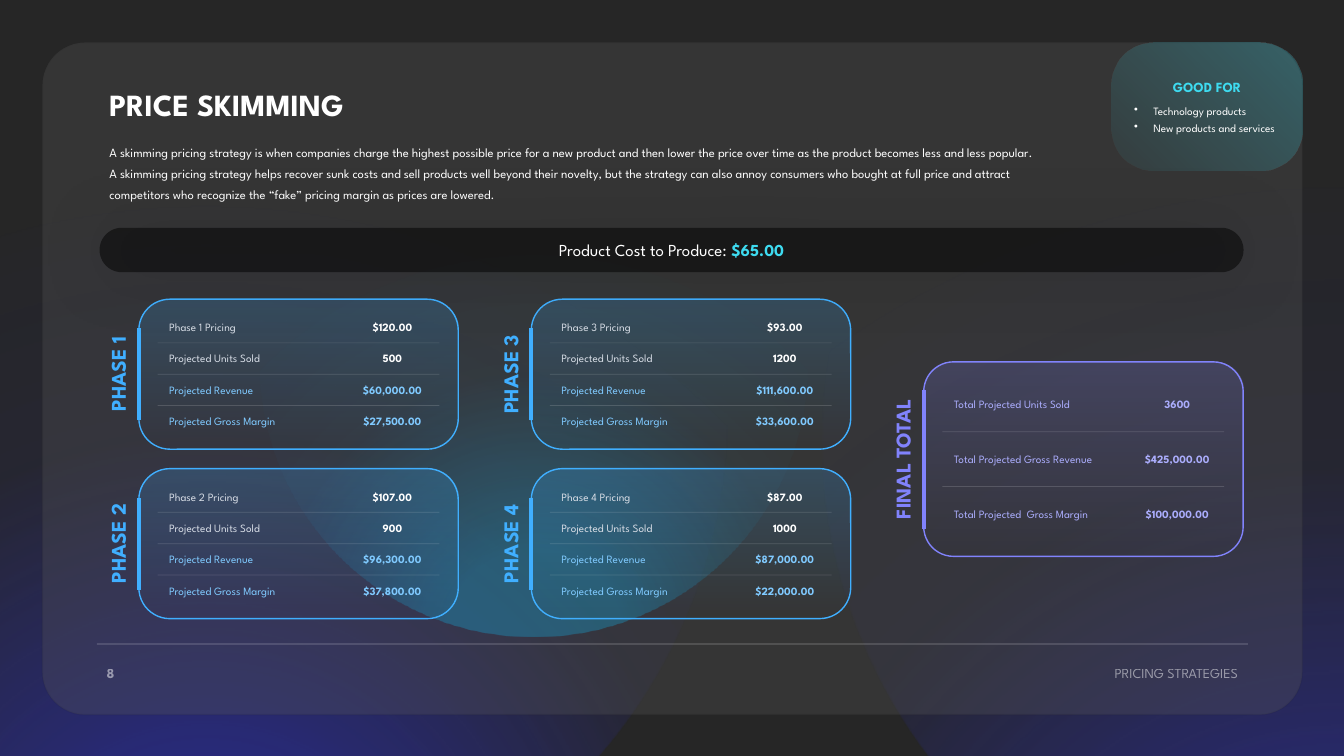
from lxml.etree import SubElement
from pptx import Presentation
from pptx.dml.color import RGBColor
from pptx.enum.shapes import MSO_CONNECTOR, MSO_SHAPE
from pptx.enum.text import MSO_ANCHOR, MSO_AUTO_SIZE, PP_ALIGN
from pptx.oxml import parse_xml
from pptx.oxml.ns import nsdecls, qn
from pptx.util import Cm, Pt

# Content
FONT = "League Spartan"
WHITE, BLUE, PALE_BLUE, GREY = "FFFFFF", "40AFFF", "80CAFF", "D6DCE5"
PURPLE, PALE_PURPLE, CYAN, INDIGO = "8183FC", "ABADFD", "3EDBF0", "2D31FA"
DESCRIPTION = (
    "A skimming pricing strategy is when companies charge the highest possible price for a new "
    "product and then lower the price over time as the product becomes less and less popular. "
    "A skimming pricing strategy helps recover sunk costs and sell products well beyond their "
    "novelty, but the strategy can also annoy consumers who bought at full price and attract "
    "competitors who recognize the “fake” pricing margin as prices are lowered."
)
GOOD_FOR = ["Technology products", "New products and services"]
PHASES = [
    ("$120.00", "500", "$60,000.00", "$27,500.00"),
    ("$107.00", "900", "$96,300.00", "$37,800.00"),
    ("$93.00", "1200", "$111,600.00", "$33,600.00"),
    ("$87.00", "1000", "$87,000.00", "$22,000.00"),
]
# Row name, name box width, name colour, value colour
PHASE_ROWS = [
    ("Phase {} Pricing", 2.59, GREY, WHITE),
    ("Projected Units Sold", 3.23, GREY, WHITE),
    ("Projected Revenue", 3.18, PALE_BLUE, PALE_BLUE),
    ("Projected Gross Margin", 3.73, PALE_BLUE, PALE_BLUE),
]
TOTAL_ROWS = [
    ("Total Projected Units Sold", 3.96, PALE_PURPLE, PALE_PURPLE),
    ("Total Projected Gross Revenue", 4.75, PALE_PURPLE, PALE_PURPLE),
    ("Total Projected  Gross Margin", 4.55, PALE_PURPLE, PALE_PURPLE),
]
TOTALS = ("3600", "$425,000.00", "$100,000.00")
# Left, top, diameter, colour, rotation
GLOWS = [
    (-7.95, -2.74, 26.29, INDIGO, 0),
    (6.55, 2.26, 13.79, "00B0F0", 0),
    (20.73, -2.03, 26.26, INDIGO, 195),
]

# Layout in centimetres
CARD_LEFT, CARD_TOP, CARD_STEP_X, CARD_STEP_Y = 3.5, 7.54, 9.89, 4.27
CARD_WIDTH, ROW_HEIGHT = 8.05, 0.61

presentation = Presentation()
presentation.slide_width, presentation.slide_height = Cm(33.87), Cm(19.05)
slide = presentation.slides.add_slide(presentation.slide_layouts[6])


def paint(color_format, color, alpha=100):
    """Set a colour from a hex string, with an opacity in percent."""
    color_format.rgb = RGBColor.from_string(color)
    if alpha < 100:
        for element in color_format._xFill.iter(qn("a:srgbClr")):
            SubElement(element, qn("a:alpha")).set("val", str(alpha * 1000))


def paint_gradient(shape, color, stops, direction):
    """Fill with one colour at several (position, opacity) stops."""
    stop_xml = "".join(
        f'<a:gs pos="{position * 1000}"><a:srgbClr val="{color}">'
        f'<a:alpha val="{alpha * 1000}"/></a:srgbClr></a:gs>'
        for position, alpha in stops
    )
    gradient = parse_xml(
        f'<a:gradFill {nsdecls("a")} rotWithShape="1"><a:gsLst>{stop_xml}</a:gsLst>'
        f"{direction}</a:gradFill>"
    )
    shape.fill.solid()
    properties = shape._element.spPr
    properties.replace(properties.find(qn("a:solidFill")), gradient)


def circle_from(left, top, right, bottom):
    edges = f'l="{left}000" t="{top}000" r="{right}000" b="{bottom}000"'
    return f'<a:path path="circle"><a:fillToRect {edges}/></a:path>'


def add_block(kind, left, top, width, height, corner=None):
    shape = slide.shapes.add_shape(kind, Cm(left), Cm(top), Cm(width), Cm(height))
    shape.shadow.inherit = False
    shape.line.fill.background()
    if corner is not None:
        shape.adjustments[0] = corner
    return shape


def add_line(start_x, start_y, end_x, end_y, color=WHITE, width=0.5, alpha=100):
    line = slide.shapes.add_connector(
        MSO_CONNECTOR.STRAIGHT, Cm(start_x), Cm(start_y), Cm(end_x), Cm(end_y)
    )
    line.line.width = Pt(width)
    line.line.fill.solid()
    paint(line.line.fill.fore_color, color, alpha)
    SubElement(line._element.spPr, qn("a:effectLst"))


def write(paragraph, text, size=8, color=WHITE, alpha=100, bold=False, align=PP_ALIGN.LEFT,
          spacing=None, after=None, bullet=False):
    """Add a formatted run to a paragraph."""
    if bullet:
        properties = paragraph._p.get_or_add_pPr()
        properties.set("marL", str(Cm(0.48)))
        properties.set("indent", str(Cm(-0.48)))
        SubElement(properties, qn("a:buChar")).set("char", "•")
    paragraph.alignment = align
    if spacing:
        paragraph.line_spacing = Pt(spacing)
    if after:
        paragraph.space_after = Pt(after)
    run = paragraph.add_run()
    run.text = text
    run.font.name, run.font.size, run.font.bold = FONT, Pt(size), bold
    run.font.fill.solid()
    paint(run.font.fill.fore_color, color, alpha)


def add_text(text, left, top, width, height, wrap=False, anchor=MSO_ANCHOR.MIDDLE,
             side_inset=0.25, rotation=0, **text_format):
    box = slide.shapes.add_textbox(Cm(left), Cm(top), Cm(width), Cm(height))
    box.rotation = rotation
    frame = box.text_frame
    frame.word_wrap, frame.vertical_anchor = wrap, anchor
    frame.auto_size = MSO_AUTO_SIZE.SHAPE_TO_FIT_TEXT
    frame.margin_left = frame.margin_right = Cm(side_inset)
    write(frame.paragraphs[0], text, **text_format)


def add_card(title, rows, values, left, top, height, pitch, accent_length, title_width,
             color, corner):
    middle = top + height / 2
    first = middle - (len(rows) - 1) / 2 * pitch
    card = add_block(MSO_SHAPE.ROUNDED_RECTANGLE, left, top, CARD_WIDTH, height, corner)
    paint_gradient(card, color, [(0, 20), (100, 0)], '<a:lin ang="5400000" scaled="0"/>')
    card.line.width = Pt(1)
    paint(card.line.color, color)
    add_text(title, left - 0.54 - title_width / 2, middle - 0.45, title_width, 0.9,
             rotation=270, size=15, color=color, bold=True, align=PP_ALIGN.CENTER)
    for index, ((name, width, name_color, value_color), value) in enumerate(zip(rows, values)):
        center = first + index * pitch
        row_top = center - ROW_HEIGHT / 2
        add_text(name, left + 0.51, row_top, width, ROW_HEIGHT, color=name_color)
        add_text(value, left + 5.26, row_top, 2.26, ROW_HEIGHT, wrap=True, side_inset=0,
                 color=value_color, bold=True, align=PP_ALIGN.CENTER, after=6)
        if index:
            divider = center - pitch / 2
            add_line(left + 0.47, divider, left + 7.57, divider, alpha=15)
    add_line(left, middle + accent_length / 2, left, middle - accent_length / 2, color, 3)


# Background, glows and main panel
slide.background.fill.solid()
paint(slide.background.fill.fore_color, "262626")
for left, top, diameter, color, rotation in GLOWS:
    glow = add_block(MSO_SHAPE.OVAL, left, top, diameter, diameter)
    paint_gradient(glow, color, [(23, 40), (68, 5), (100, 0)], circle_from(50, 130, 50, -30))
    glow.rotation = rotation
    if rotation:
        glow._element.spPr.xfrm.set("flipV", "1")
panel = add_block(MSO_SHAPE.ROUNDED_RECTANGLE, 1.07, 1.07, 31.75, 16.94, 0.064)
panel.fill.solid()
paint(panel.fill.fore_color, "595959", 30)
panel.line.width = Pt(1)
panel.line.fill.solid()
paint(panel.line.fill.fore_color, "262626", 10)

# Heading and description
add_text("PRICE SKIMMING", 2.51, 2.03, 13.18, 1.19, wrap=True, anchor=MSO_ANCHOR.TOP,
         size=22, bold=True)
add_text(DESCRIPTION, 2.51, 3.38, 24, 1.8, wrap=True, anchor=MSO_ANCHOR.TOP, size=9, spacing=15)

# Phase cards, filled column by column, and the total
for index, values in enumerate(PHASES):
    column, row = divmod(index, 2)
    number = index + 1
    rows = [(name.format(number), *rest) for name, *rest in PHASE_ROWS]
    add_card(f"PHASE {number}", rows, values, CARD_LEFT + column * CARD_STEP_X,
             CARD_TOP + row * CARD_STEP_Y, 3.78, 0.79, 2.32, 2.57, BLUE, 0.207)
add_card("FINAL TOTAL", TOTAL_ROWS, TOTALS, CARD_LEFT + 2 * CARD_STEP_X, 9.12, 4.9, 1.38,
         3.51, 3.63, PURPLE, 0.153)

# Production cost bar
bar = add_block(MSO_SHAPE.ROUNDED_RECTANGLE, 2.51, 5.74, 28.83, 1.12, 0.5)
bar.fill.solid()
paint(bar.fill.fore_color, "000000", 50)
bar._element.spPr.find(qn("a:effectLst")).append(parse_xml(
    f'<a:outerShdw {nsdecls("a")} blurRad="{Pt(50)}" dist="0" algn="ctr" rotWithShape="0">'
    '<a:srgbClr val="000000"><a:alpha val="20000"/></a:srgbClr></a:outerShdw>'
))
bar.text_frame.margin_left = bar.text_frame.margin_right = 0
bar.text_frame.vertical_anchor = MSO_ANCHOR.MIDDLE
cost = bar.text_frame.paragraphs[0]
write(cost, "Product Cost to Produce: ", size=12, align=PP_ALIGN.CENTER, after=6)
write(cost, "$65.00", size=12, color=CYAN, bold=True, align=PP_ALIGN.CENTER)

# Good-for badge
badge = add_block(MSO_SHAPE.ROUNDED_RECTANGLE, 28.02, 1.07, 4.8, 3.23, 0.332)
paint_gradient(badge, CYAN, [(0, 5), (100, 28)], circle_from(0, 100, 100, 0))
badge.text_frame.word_wrap = True
badge.text_frame.vertical_anchor = MSO_ANCHOR.MIDDLE
write(badge.text_frame.paragraphs[0], "GOOD FOR", size=10, color=CYAN, bold=True,
      align=PP_ALIGN.CENTER, spacing=12, after=4)
for item in GOOD_FOR:
    write(badge.text_frame.add_paragraph(), item, spacing=12, bullet=True)

# Footer
add_line(2.44, 16.23, 31.45, 16.23, alpha=40)
add_text("8", 2.44, 16.61, 0.89, 0.69, size=10, alpha=50, bold=True)
add_text("PRICING STRATEGIES", 27.46, 16.61, 3.99, 0.69, size=10, alpha=50, align=PP_ALIGN.RIGHT)

presentation.save("out.pptx")
